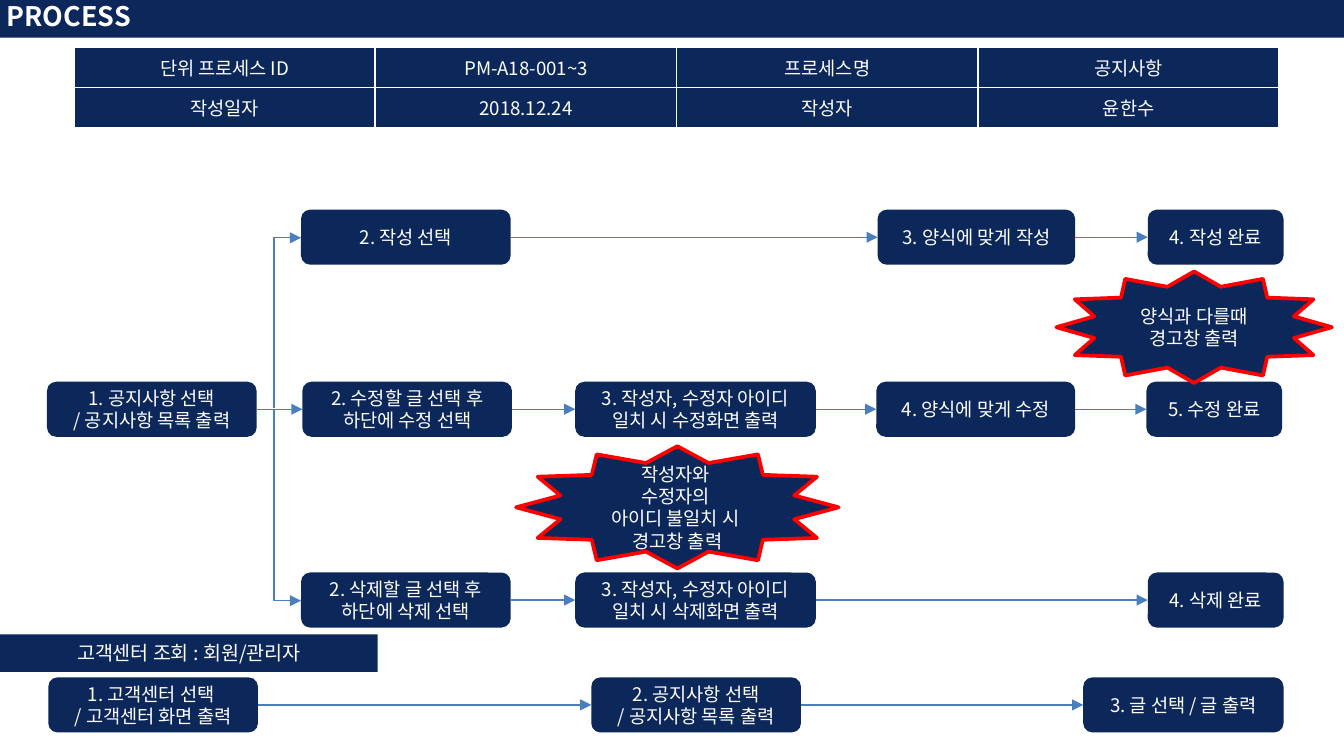
from copy import deepcopy

from lxml.etree import SubElement
from pptx import Presentation
from pptx.dml.color import RGBColor
from pptx.enum.shapes import MSO_CONNECTOR, MSO_SHAPE
from pptx.enum.text import MSO_ANCHOR, PP_ALIGN
from pptx.oxml.ns import qn
from pptx.util import Inches, Pt

NAVY, WHITE, RED, BLUE = "0C2759", "FFFFFF", "FF0000", "4B7EBC"
FONT = "Noto Sans CJK KR"
LEFT_SITE, RIGHT_SITE = 1, 3


def color(hex_string):
    return RGBColor.from_string(hex_string)


def grid(units):
    """The slide is 100 columns wide; rows are as tall as columns are wide."""
    return Inches(units / 10)


def write(frame, text, size=10, bold=False, align=PP_ALIGN.CENTER,
          anchor=MSO_ANCHOR.MIDDLE):
    """Newlines part paragraphs, vertical tabs part lines."""
    frame.word_wrap = True
    frame.vertical_anchor = anchor
    frame.text = text
    for paragraph in frame.paragraphs:
        paragraph.alignment = align
        for run in paragraph.runs:
            run.font.size, run.font.bold, run.font.name = Pt(size), bold, FONT
            run.font.color.rgb = color(WHITE)
            properties = run.font._element
            SubElement(properties, qn("a:ea"), typeface=FONT)
        for line_break in paragraph._p.findall(qn("a:br")):
            line_break.insert(0, deepcopy(properties))


class ProcessSlide:
    def __init__(self, presentation):
        self.slide = presentation.slides.add_slide(presentation.slide_layouts[5])
        self.shapes = self.slide.shapes

    def title(self, text, left, top, width, height):
        bar = self.shapes.title
        bar.left, bar.top, bar.width, bar.height = map(
            grid, (left, top, width, height))
        bar.fill.solid()
        bar.fill.fore_color.rgb = color(NAVY)
        frame = bar.text_frame
        write(frame, text, size=14.4, bold=True, align=PP_ALIGN.LEFT)
        frame.margin_left = frame.margin_right = Inches(0.09)
        frame.margin_top = frame.margin_bottom = Inches(0.04)

    def table(self, rows, left, top, width, row_height):
        table = self.shapes.add_table(
            len(rows), len(rows[0]), grid(left), grid(top), grid(width),
            grid(row_height * len(rows))).table
        for row, values in enumerate(rows):
            for column, value in enumerate(values):
                self.cell(table.cell(row, column), value)

    def cell(self, cell, text):
        write(cell.text_frame, text)
        cell.vertical_anchor = MSO_ANCHOR.MIDDLE
        properties = cell._tc.get_or_add_tcPr()
        for side in ("lnL", "lnR", "lnT", "lnB"):
            border = SubElement(properties, qn(f"a:{side}"), w=str(Pt(1)))
            fill = SubElement(border, qn("a:solidFill"))
            SubElement(fill, qn("a:srgbClr"), val=WHITE)
        cell.fill.solid()
        cell.fill.fore_color.rgb = color(NAVY)

    def box(self, text, left, top, width, height=4.1,
            kind=MSO_SHAPE.ROUNDED_RECTANGLE, outline=None, **text_format):
        shape = self.shapes.add_shape(
            kind, grid(left), grid(top), grid(width), grid(height))
        shape.shadow.inherit = False
        shape.fill.solid()
        shape.fill.fore_color.rgb = color(NAVY)
        if outline:
            shape.line.color.rgb = color(outline)
            shape.line.width = Pt(2)
        else:
            shape.line.fill.background()
        write(shape.text_frame, text, **text_format)
        return shape

    def warning(self, text, left, top, width, height):
        self.box(text, left, top, width, height,
                 kind=MSO_SHAPE.STAR_12_POINT, outline=RED)

    def arrow(self, kind, start, end):
        connector = self.shapes.add_connector(kind, *map(grid, start + end))
        connector.line.color.rgb = color(BLUE)
        connector.line.width = Pt(0.75)
        SubElement(connector.line._get_or_add_ln(), qn("a:tailEnd"),
                   type="triangle")
        SubElement(connector._element.spPr, qn("a:effectLst"))
        return connector

    def chain(self, top, steps):
        """A row of boxes, each joined to the next by an arrow."""
        boxes = [self.box(text, left, top, width) for text, left, width in steps]
        for source, target in zip(boxes, boxes[1:]):
            connector = self.arrow(MSO_CONNECTOR.STRAIGHT, (0, 0), (0, 0))
            connector.begin_connect(source, RIGHT_SITE)
            connector.end_connect(target, LEFT_SITE)

    def branch(self, start, end):
        """Goes up or down first, then across."""
        connector = self.arrow(MSO_CONNECTOR.ELBOW, start, end)
        guides = connector._element.spPr.find(qn("a:prstGeom")).find(qn("a:avLst"))
        SubElement(guides, qn("a:gd"), name="adj1", fmla="val 0")


# A widescreen slide, 16 to 9
presentation = Presentation()
presentation.slide_width = Inches(10)
presentation.slide_height = presentation.slide_width * 9 // 16
process = ProcessSlide(presentation)

# Title bar and process details
process.title("PROCESS", -0.4, -0.4, 100.4, 3.2)
process.table([["단위 프로세스 ID", "PM-A18-001~3", "프로세스명", "공지사항"],
               ["작성일자", "2018.12.24", "작성자", "윤한수"]],
              left=5.5, top=3.5, width=89.7, row_height=2.8)

# Flows: top row, then text, left and width of each step
FLOWS = {
    15.6: [("2. 작성 선택", 22.4, 15.6),
           ("3. 양식에 맞게 작성", 65.3, 14.7),
           ("4. 작성 완료", 85.4, 10.1)],
    28.4: [("1. 공지사항 선택\n/ 공지사항 목록 출력", 3.5, 15.6),
           ("2. 수정할 글 선택 후\n하단에 수정 선택", 22.5, 15.6),
           ("3. 작성자, 수정자 아이디 일치 시 수정화면 출력", 42.8, 17.9),
           ("4. 양식에 맞게 수정", 65.2, 14.8),
           ("5. 수정 완료", 85.3, 10.1)],
    42.6: [("2. 삭제할 글 선택 후\n하단에 삭제 선택", 22.4, 15.6),
           ("3. 작성자, 수정자 아이디 일치 시 삭제화면 출력", 42.8, 17.9),
           ("4. 삭제 완료", 85.4, 10.1)],
    50.4: [("1. 고객센터 선택 \n/ 고객센터 화면 출력", 3.6, 15.6),
           ("2. 공지사항 선택\n/ 공지사항 목록 출력", 44, 15.6),
           ("3. 글 선택 / 글 출력", 80.6, 14.9)],
}
for top, steps in FLOWS.items():
    process.chain(top, steps)

# Branches from the first step to the upper and lower flows
for end_row in (17.7, 44.7):
    process.branch((20.4, 30.4), (22.4, end_row))

# Warnings
process.warning("양식과 다를때\v경고창 출력", 78.6, 20.2, 20.5, 8.3)
process.warning("작성자와 \v수정자의 \v아이디 불일치 시 \v경고창 출력",
                38.4, 33.2, 24, 9.1)

# Heading of the last flow
process.box("고객센터 조회 : 회원/관리자", 0, 47.2, 28.1, 2.8,
            kind=MSO_SHAPE.RECTANGLE, size=10.5, anchor=MSO_ANCHOR.TOP)

presentation.save("out.pptx")
